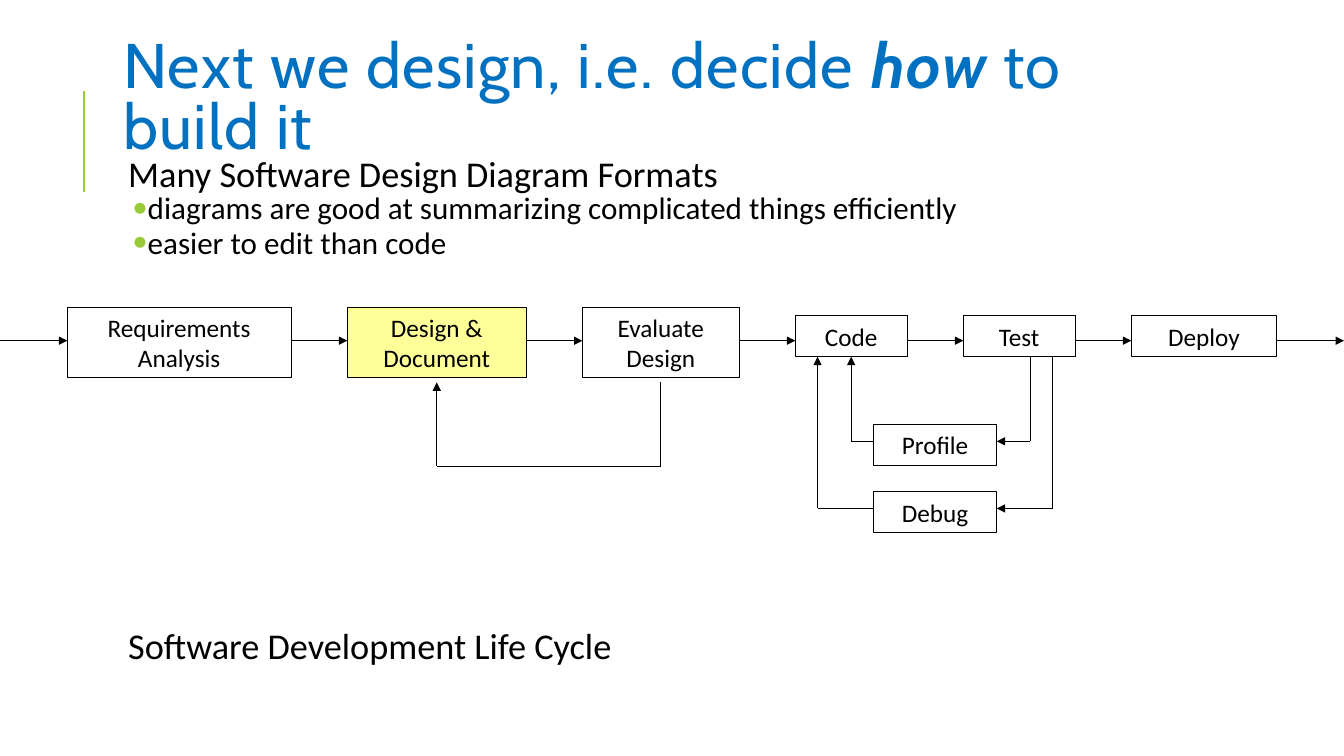
from dataclasses import dataclass
from itertools import pairwise

from lxml import etree
from pptx import Presentation
from pptx import util as u
from pptx.dml.color import RGBColor
from pptx.enum import shapes, text
from pptx.oxml import ns


@dataclass(frozen=True)
class Theme:
    ink: str = "000000"
    title: str = "0070C0"
    accent: str = "99CB38"
    focus: str = "FFFF99"
    head: str = "Cabin"
    body: str = "Calibri"
    big: float = 45
    lead: float = 25.9
    item: float = 22.2
    label: float = 18
    thin: float = 0.75
    rule: float = 1.5


T = Theme()
COLS, ROWS = 120, 67.5  # square grid cells, nine to the inch
WIDE, HIGH = u.Inches(COLS / 9), u.Inches(ROWS / 9)


def grid(n):
    return round(WIDE * n / COLS)


def rgb(code):
    return RGBColor.from_string(code)


def node(parent, tag, **attrs):
    child = etree.SubElement(parent, ns.qn(tag))
    for key, val in attrs.items():
        child.set(key, val)
    return child


def write(para, words, size=T.label, font=T.body, color=T.ink,
          strong=False, track=0, line=None, before=0, after=0, align=None):
    para.alignment = align
    para.space_before, para.space_after = u.Pt(before), u.Pt(after)
    if line:
        para.line_spacing = line
    run = para.add_run()
    run.text = words
    run.font.size, run.font.name = u.Pt(size), font
    run.font.bold = run.font.italic = strong
    run.font.color.rgb = rgb(color)
    if track:
        run.font._element.set("spc", str(track))


def bullet(para, left, hang=0.0, mark=None):
    props = para._p.get_or_add_pPr()
    props.set("marL", str(u.Inches(left)))
    props.set("indent", str(-u.Inches(hang)))
    if mark:
        node(node(props, "a:buClr"), "a:srgbClr", val=T.accent)
        node(props, "a:buFont", typeface=T.body)
        node(props, "a:buChar", char=mark)
    else:
        node(props, "a:buNone")


def place(shape, box):
    shape.left, shape.top, shape.width, shape.height = map(grid, box)


def frame(shape, side, anchor):
    tf = shape.text_frame
    tf.word_wrap, tf.auto_size = True, text.MSO_AUTO_SIZE.NONE
    tf.vertical_anchor = anchor
    tf.margin_left = tf.margin_right = u.Inches(side)
    tf.margin_top = tf.margin_bottom = u.Inches(0.05)
    return tf


def wire(slide, start, end, head=False, color=T.ink, width=T.thin):
    line = slide.shapes.add_connector(
        shapes.MSO_CONNECTOR.STRAIGHT, *map(grid, (*start, *end)))
    line.line.color.rgb, line.line.width = rgb(color), u.Pt(width)
    if head:
        node(line.line._get_or_add_ln(), "a:tailEnd", type="triangle")
    node(line._element.spPr, "a:effectLst")


def route(slide, *points):
    """Joined lines with an arrowhead on the last."""
    pairs = list(pairwise(points))
    for pair in pairs:
        wire(slide, *pair, head=pair == pairs[-1])


def step(slide, words, box, fill=None):
    rect = slide.shapes.add_shape(
        shapes.MSO_SHAPE.RECTANGLE, *map(grid, box))
    rect.shadow.inherit = False
    if fill:
        rect.fill.solid()
        rect.fill.fore_color.rgb = rgb(fill)
    else:
        rect.fill.background()
    rect.line.color.rgb, rect.line.width = rgb(T.ink), u.Pt(T.thin)
    tf = frame(rect, 0.1, text.MSO_ANCHOR.MIDDLE)
    write(tf.paragraphs[0], words, align=text.PP_ALIGN.CENTER)


def header(slide, box):
    x, y = box[:2]
    wire(slide, (x - 2.6, y + 11.35), (x - 2.6, y + 2.35),
         color=T.accent, width=T.rule)
    title = slide.shapes.title
    place(title, box)
    para = frame(title, 0.1, text.MSO_ANCHOR.MIDDLE).paragraphs[0]
    for words, strong in (("Next we design, i.e. decide ", False),
                          ("how", True), (" to build it", False)):
        write(para, words, size=T.big, font=T.head, color=T.title,
              strong=strong, track=100, line=0.8,
              align=text.PP_ALIGN.LEFT)


def notes(slide, box):
    body = slide.placeholders[1]
    place(body, box)
    tf = frame(body, 0.05, text.MSO_ANCHOR.TOP)
    # words, level, space before
    rows = (
        ("Many Software Design Diagram Formats", 0, 12),
        ("diagrams are good at summarizing complicated things efficiently",
         1, 2),
        ("easier to edit than code", 1, 2),
        ("Software Development Life Cycle", 0, 264),
    )
    for i, (words, level, before) in enumerate(rows):
        para = tf.add_paragraph() if i else tf.paragraphs[0]
        para.level = level
        write(para, words, size=T.item if level else T.lead, line=0.7,
              before=before, after=4 if level else 2,
              align=text.PP_ALIGN.LEFT)
        if level:
            bullet(para, 0.29, 0.15, "•")
        else:
            bullet(para, 0.1)


def cycle(slide, box):
    left, top, width, _ = box
    gap, low, tall = 5, 3.65, 6.3
    mid = top + 2.97
    # Main row of steps: words, columns, height, fill
    row = (
        ("Requirements Analysis", 20, tall, None),
        ("Design & Document", 16, tall, T.focus),
        ("Evaluate Design", 14, tall, None),
        ("Code", 10, low, None),
        ("Test", 10, low, None),
        ("Deploy", 13, low, None),
    )
    x, end, at = left + gap + 1, left, {}
    for words, w, h, fill in row:
        y = top if h == tall else top + 0.75
        step(slide, words, (x, y, w, h), fill)
        wire(slide, (end, mid), (x, mid), head=True)
        at[words] = x
        end = x + w
        x = end + gap
    wire(slide, (end, mid), (left + width, mid), head=True)

    # Design feedback loop
    back, foot = at["Design & Document"] + 8, top + tall + 0.4
    out = at["Evaluate Design"] + 7
    route(slide, (out, foot), (out, foot + 7.5),
          (back, foot + 7.5), (back, foot))

    # Loops from Test back to Code
    code, test = at["Code"], at["Test"]
    base, side, w = top + 0.75 + low, code + 7, 11
    for i, words in enumerate(("Profile", "Debug")):
        y = top + 10.45 + 6 * i
        level = y + 1.5
        step(slide, words, (side, y, w, low))
        down, up = test + 6 + 2 * i, code + 5 - 3 * i
        route(slide, (down, base), (down, level), (side + w, level))
        route(slide, (side, level), (up, level), (up, base))


def main():
    deck = Presentation()
    deck.slide_width, deck.slide_height = WIDE, HIGH
    slide = deck.slides.add_slide(deck.slide_layouts[1])
    header(slide, (10.1, 5.75, 95.7, 6.5))
    notes(slide, (10.1, 14.1, 95.7, 48))
    cycle(slide, (0, 27.45, COLS, 20))
    deck.save("out.pptx")


if __name__ == "__main__":
    main()
